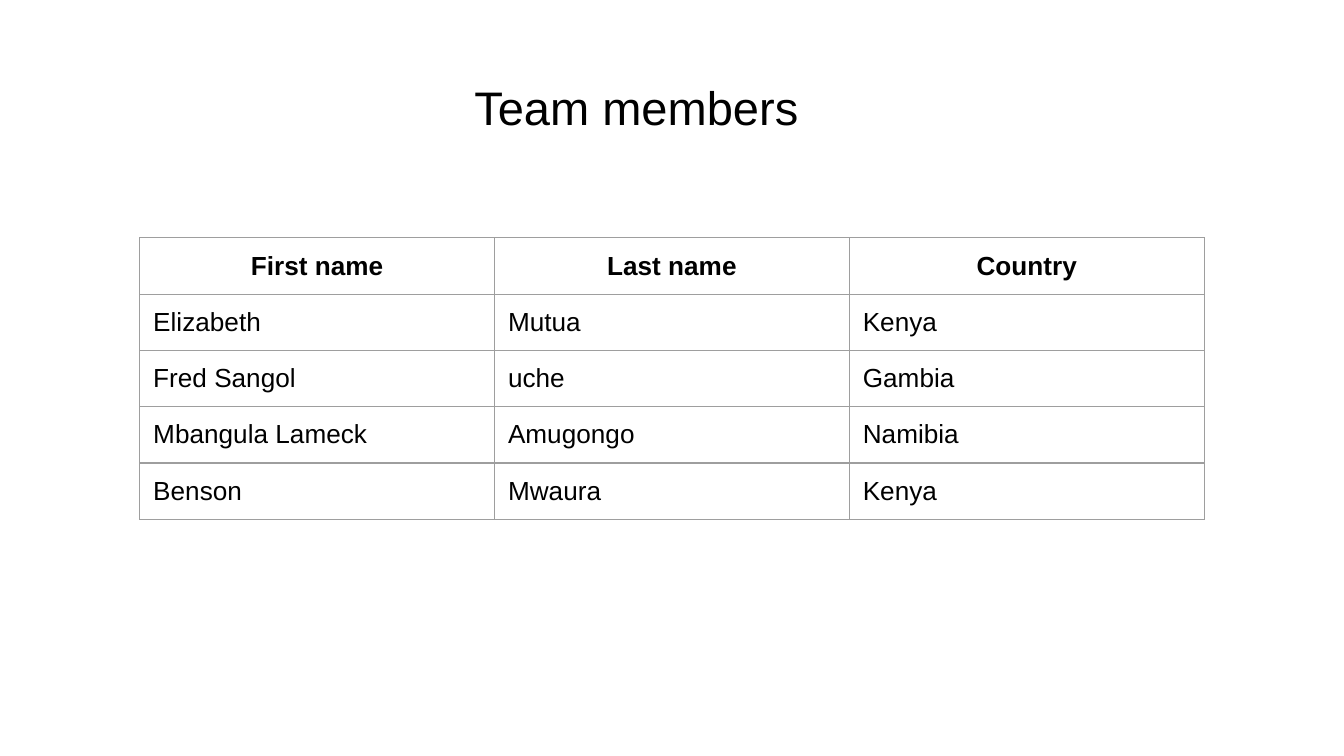
from dataclasses import dataclass

from lxml.etree import SubElement
from pptx import Presentation
from pptx.dml.color import RGBColor as RGB
from pptx.enum.text import MSO_ANCHOR as Anchor, MSO_AUTO_SIZE as AutoSize, PP_ALIGN as Align
from pptx.oxml.ns import qn
from pptx.util import Inches, Pt


@dataclass(frozen=True)
class Theme:
    """Colours, font and type sizes of the slide."""
    font: str = "Arial"
    text: str = "000000"
    background: str = "FFFFFF"
    border: str = "9E9E9E"
    title_size: float = 25.2
    table_size: float = 14
    border_width: float = 0.75
    inset: float = 0.1


THEME = Theme()
MEMBERS = [
    ("First name", "Last name", "Country"),
    ("Elizabeth", "Mutua", "Kenya"),
    ("Fred Sangol", "uche", "Gambia"),
    ("Mbangula Lameck", "Amugongo", "Namibia"),
    ("Benson", "Mwaura", "Kenya"),
]


def style_paragraph(p, size, align, bold=False):
    """Set the theme font, size, weight and alignment of a paragraph."""
    p.alignment = align
    p.font.name = THEME.font
    p.font.size = Pt(size)
    p.font.bold = bold
    p.font.color.rgb = RGB.from_string(THEME.text)


def set_insets(box):
    """Give a cell or text frame the same margin on every side."""
    for side in ("left", "top", "right", "bottom"):
        setattr(box, f"margin_{side}", Inches(THEME.inset))


def set_borders(cell):
    """Draw a thin line on all four sides of a cell."""
    tc_pr = cell._tc.get_or_add_tcPr()
    for i, tag in enumerate(("a:lnL", "a:lnR", "a:lnT", "a:lnB")):
        ln = SubElement(tc_pr, qn(tag), w=str(Pt(THEME.border_width)))
        SubElement(SubElement(ln, qn("a:solidFill")), qn("a:srgbClr"), val=THEME.border)
        tc_pr.insert(i, ln)


def add_title(s, text, left, top, width, height):
    """Place the centred slide title in the given box."""
    sp = s.shapes.title
    sp.left, sp.top, sp.width, sp.height = map(Inches, (left, top, width, height))
    tf = sp.text_frame
    tf.text = text
    tf.word_wrap = True
    tf.auto_size = AutoSize.NONE
    tf.vertical_anchor = Anchor.MIDDLE
    set_insets(tf)
    style_paragraph(tf.paragraphs[0], THEME.title_size, Align.CENTER)


def add_members(s, rows, left, top, width, height):
    """Place a bordered table with a bold centred header in the given box."""
    box = map(Inches, (left, top, width, height))
    table = s.shapes.add_table(len(rows), len(rows[0]), *box).table
    table.horz_banding = False
    for i, row in enumerate(rows):
        header = i == 0
        for j, text in enumerate(row):
            cell = table.cell(i, j)
            cell.text = text
            cell.fill.solid()
            cell.fill.fore_color.rgb = RGB.from_string(THEME.background)
            set_insets(cell)
            set_borders(cell)
            style_paragraph(cell.text_frame.paragraphs[0], THEME.table_size,
                            Align.CENTER if header else Align.LEFT, header)


def main():
    """Build and save the team slide."""
    prs = Presentation()
    prs.slide_width = Inches(10)
    prs.slide_height = prs.slide_width * 9 // 16
    s = prs.slides.add_slide(prs.slide_layouts[5])
    s.background.fill.solid()
    s.background.fill.fore_color.rgb = RGB.from_string(THEME.background)
    add_members(s, MEMBERS, 1.04, 1.77, 7.92, 2.08)
    add_title(s, "Team members", 2.8, 0.48, 3.87, 0.63)
    prs.save("out.pptx")


if __name__ == "__main__":
    main()
